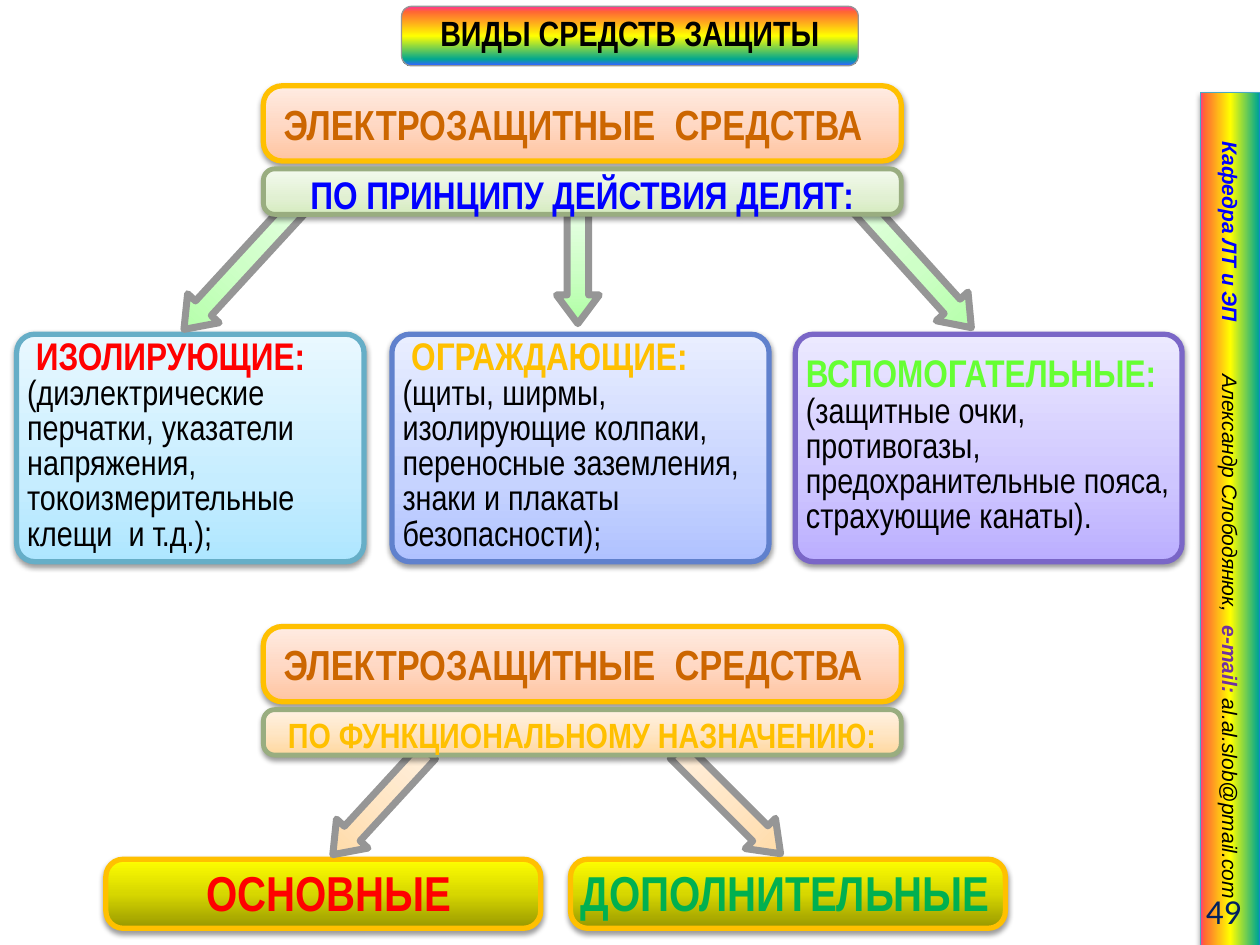
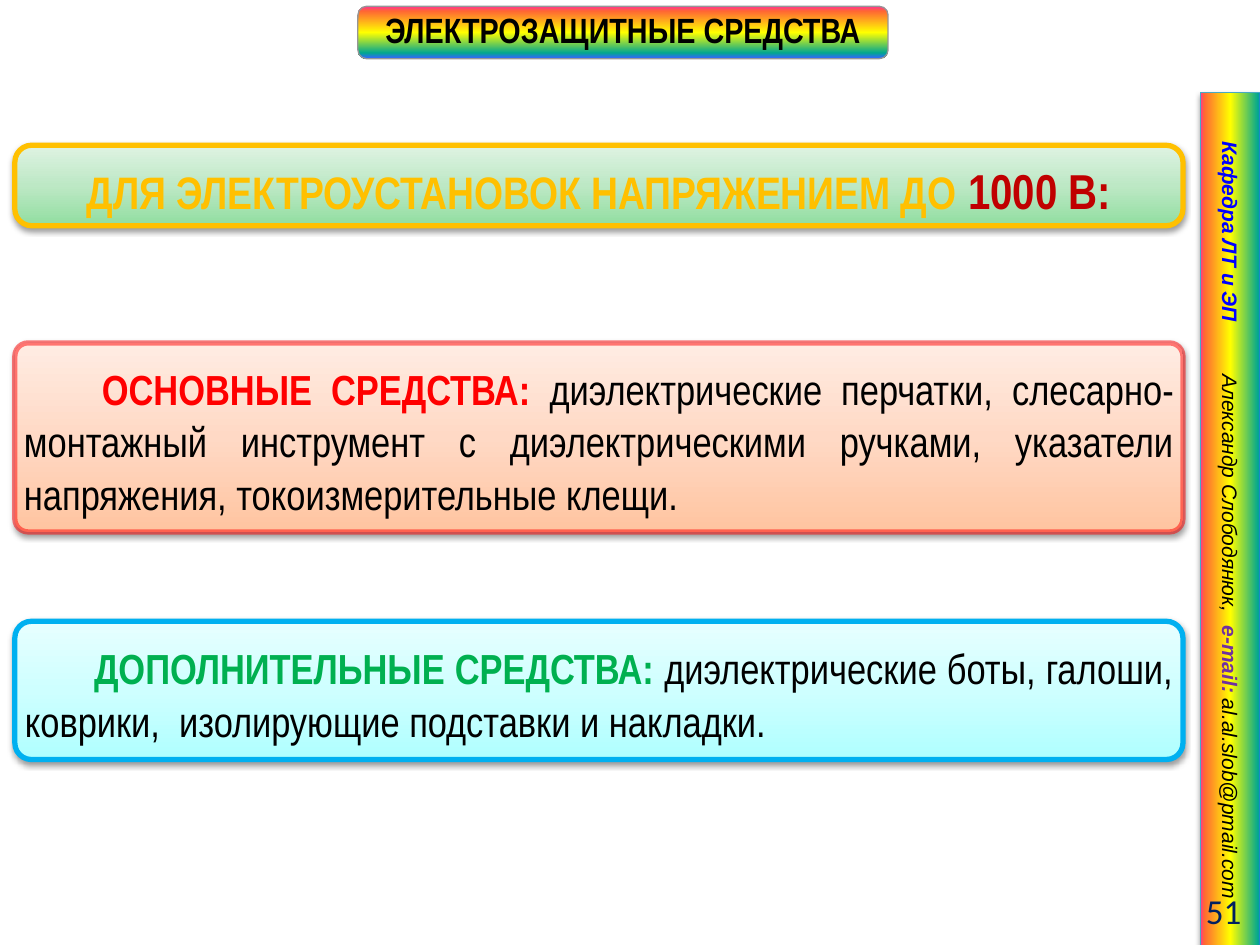
from dataclasses import dataclass

from pptx import Presentation
from pptx.dml.color import RGBColor
from pptx.enum.shapes import MSO_SHAPE
from pptx.enum.text import MSO_ANCHOR, PP_ALIGN
from pptx.oxml import parse_xml
from pptx.oxml.ns import nsdecls, qn
from pptx.shapes.autoshape import Shape
from pptx.slide import Slide
from pptx.text.text import _Paragraph
from pptx.util import Pt

BLACK = RGBColor(0x00, 0x00, 0x00)
BLUE = RGBColor(0x00, 0x00, 0xFF)
RED = RGBColor(0xFF, 0x00, 0x00)
DARK_RED = RGBColor(0xC0, 0x00, 0x00)
GREEN = RGBColor(0x00, 0xB0, 0x50)
LIME = RGBColor(0x66, 0xFF, 0x33)
AMBER = RGBColor(0xFF, 0xC0, 0x00)
BROWN = RGBColor(0xCC, 0x66, 0x00)
PURPLE = RGBColor(0x70, 0x30, 0xA0)
NAVY = RGBColor(0x00, 0x20, 0x60)
GRAY = RGBColor(0x96, 0x96, 0x96)
TEAL = RGBColor(0x46, 0xAA, 0xC5)
SAGE = RGBColor(0x99, 0xAD, 0x80)
SKY = RGBColor(0x00, 0xB0, 0xF0)
ICE_EDGE = RGBColor(0x66, 0xAE, 0xC7)
AZURE_EDGE = RGBColor(0x60, 0x81, 0xCD)
VIOLET_EDGE = RGBColor(0x7A, 0x66, 0xC7)

RAINBOW = [RGBColor(0xFF, 0x33, 0x99), RGBColor(0xFF, 0x66, 0x33), RGBColor(0xFF, 0xFF, 0x00),
           RGBColor(0x01, 0xA7, 0x8F), RGBColor(0x33, 0x66, 0xFF)]

NARROW = "Arial Narrow"


@dataclass(frozen=True)
class Gradient:
    colors: list[RGBColor]
    stops: tuple[int, ...] = (0, 50, 100)
    angle: int = 270


SIDEBAR_FILL = Gradient(RAINBOW, (0, 6, 50, 96, 100))
TITLE_FILL = Gradient(RAINBOW, (0, 9, 50, 89, 99), 90)
PEACH = Gradient([RGBColor(0xFF, 0xC4, 0xA0), RGBColor(0xFF, 0xD9, 0xC5), RGBColor(0xFF, 0xEC, 0xE3)])
APRICOT = Gradient([RGBColor(0xFF, 0xD8, 0xA0), RGBColor(0xFF, 0xE6, 0xC5), RGBColor(0xFF, 0xF2, 0xE3)])
MINT = Gradient([RGBColor(0xAF, 0xFF, 0xA3), RGBColor(0xCE, 0xFF, 0xC7), RGBColor(0xE7, 0xFF, 0xE4)])
LEAF = Gradient([RGBColor(0xD5, 0xEB, 0xBF), RGBColor(0xE1, 0xF0, 0xD2), RGBColor(0xF3, 0xFA, 0xED)],
                (0, 35, 100))
GOLD = Gradient([RGBColor(0x97, 0x97, 0x00), RGBColor(0xD7, 0xD7, 0x00), RGBColor(0xFF, 0xFF, 0x00)])
ICE = Gradient([RGBColor(0xAE, 0xE6, 0xFF), RGBColor(0xC6, 0xED, 0xFF), RGBColor(0xE9, 0xF8, 0xFF)],
               (0, 35, 100))
AZURE = Gradient([RGBColor(0xB0, 0xC2, 0xFF), RGBColor(0xC6, 0xD3, 0xFF), RGBColor(0xE9, 0xEE, 0xFF)],
                 (0, 35, 100))
VIOLET = Gradient([RGBColor(0xBB, 0xAE, 0xFF), RGBColor(0xCE, 0xC6, 0xFF), RGBColor(0xEC, 0xE9, 0xFF)],
                  (0, 35, 100))
MEADOW = Gradient([RGBColor(0x91, 0xDE, 0xA0), RGBColor(0xBD, 0xE8, 0xC5), RGBColor(0xDF, 0xF3, 0xE3)])
AQUA = Gradient([RGBColor(0xAF, 0xFF, 0xFF), RGBColor(0xCE, 0xFF, 0xFF), RGBColor(0xE7, 0xFF, 0xFF)])


@dataclass(frozen=True)
class Span:
    text: str
    size: float
    color: RGBColor = BLACK
    bold: bool = False
    italic: bool = False
    font: str = NARROW


@dataclass(frozen=True)
class Panel:
    left: float
    top: float
    width: float
    height: float
    fill: Gradient
    edge: RGBColor
    spans: list[Span]
    edge_width: float = 3
    corner: float = 0.25
    align: PP_ALIGN = PP_ALIGN.LEFT
    leading: float | None = None
    indent: float = 0
    insets: tuple[float, float, float, float] = (3, 3, 3, 3)
    edge_opacity: int = 100
    shadow: bool = True
    geometry: MSO_SHAPE = MSO_SHAPE.ROUNDED_RECTANGLE


@dataclass(frozen=True)
class Arrow:
    left: float
    top: float
    height: float
    rotation: float


def paint(shape: Shape, gradient: Gradient, edge: RGBColor, edge_width: float) -> None:
    stops = "".join(
        f'<a:gs pos="{position * 1000}"><a:srgbClr val="{color}"/></a:gs>'
        for position, color in zip(gradient.stops, gradient.colors)
    )
    shape.element.spPr.find(qn("a:prstGeom")).addnext(parse_xml(
        f'<a:gradFill {nsdecls("a")} rotWithShape="1"><a:gsLst>{stops}</a:gsLst>'
        f'<a:lin ang="{gradient.angle * 60000}" scaled="0"/></a:gradFill>'
    ))
    shape.line.color.rgb = edge
    shape.line.width = Pt(edge_width)
    shape.shadow.inherit = False


def cast_shadow(shape: Shape) -> None:
    shape.element.spPr.find(qn("a:effectLst")).append(parse_xml(
        f'<a:outerShdw {nsdecls("a")} blurRad="{Pt(3.1)}" dist="{Pt(1.6)}" dir="5400000" '
        'rotWithShape="0"><a:srgbClr val="000000"><a:alpha val="38000"/></a:srgbClr></a:outerShdw>'
    ))


def write(paragraph: _Paragraph, spans: list[Span]) -> None:
    for span in spans:
        run = paragraph.add_run()
        run.text = span.text
        run.font.name = span.font
        run.font.size = Pt(span.size)
        run.font.bold = span.bold
        run.font.italic = span.italic
        run.font.color.rgb = span.color


def add_panel(slide: Slide, panel: Panel) -> Shape:
    shape = slide.shapes.add_shape(
        panel.geometry, Pt(panel.left), Pt(panel.top), Pt(panel.width), Pt(panel.height))
    if panel.geometry == MSO_SHAPE.ROUNDED_RECTANGLE:
        shape.adjustments[0] = panel.corner
    paint(shape, panel.fill, panel.edge, panel.edge_width)
    if panel.edge_opacity < 100:
        shape.line._ln.find(f".//{qn('a:srgbClr')}").append(
            parse_xml(f'<a:alpha {nsdecls("a")} val="{panel.edge_opacity * 1000}"/>'))
    if panel.shadow:
        cast_shadow(shape)
    frame = shape.text_frame
    frame.word_wrap = True
    frame.vertical_anchor = MSO_ANCHOR.MIDDLE
    frame.margin_left, frame.margin_top, frame.margin_right, frame.margin_bottom = map(Pt, panel.insets)
    paragraph = frame.paragraphs[0]
    paragraph.alignment = panel.align
    if panel.leading:
        paragraph.line_spacing = Pt(panel.leading)
    if panel.indent:
        paragraph._p.get_or_add_pPr().set("indent", str(Pt(panel.indent)))
    write(paragraph, panel.spans)
    return shape


def add_arrow(slide: Slide, arrow: Arrow, fill: Gradient) -> None:
    shape = slide.shapes.add_shape(
        MSO_SHAPE.DOWN_ARROW, Pt(arrow.left), Pt(arrow.top), Pt(24.5), Pt(arrow.height))
    shape.adjustments[0] = 0.5
    shape.adjustments[1] = 0.67
    shape.rotation = arrow.rotation
    paint(shape, fill, GRAY, 4)


def add_sidebar(slide: Slide, number: int) -> None:
    sidebar = add_panel(slide, Panel(
        459.4, 279.4, 487.5, 34.5, SIDEBAR_FILL, TEAL,
        [Span("Кафедра ЛТ и ЭП\t", 12, BLUE, True, True, "Arial"),
         Span("Александр Слободянюк,\t", 12, BLACK, False, True, "Arial"),
         Span("e-mail: ", 12, PURPLE, True, True, "Arial"),
         Span("al.al.slob@pmail.com", 12, BLACK, False, True, "Arial")],
        edge_width=0.75, insets=(28, 3.6, 7.2, 3.6), geometry=MSO_SHAPE.RECTANGLE))
    sidebar.rotation = 90
    tabs = "".join(f'<a:tab pos="{Pt(stop)}" algn="l"/>' for stop in (133, 276.5))
    sidebar.text_frame.paragraphs[0]._p.get_or_add_pPr().append(
        parse_xml(f'<a:tabLst {nsdecls("a")}>{tabs}</a:tabLst>'))

    number_frame = slide.shapes.add_textbox(Pt(638), Pt(506), Pt(78.5), Pt(29)).text_frame
    number_frame.word_wrap = True
    number_frame.vertical_anchor = MSO_ANCHOR.MIDDLE
    number_frame.paragraphs[0].alignment = PP_ALIGN.RIGHT
    write(number_frame.paragraphs[0], [Span(str(number), 20, NAVY, font="Calibri")])


def start_slide(deck: Presentation, number: int, title: str,
                left: float, width: float, height: float) -> Slide:
    slide = deck.slides.add_slide(deck.slide_layouts[6])
    add_sidebar(slide, number)
    add_panel(slide, Panel(
        left, 3.6, width, height, TITLE_FILL, GRAY, [Span(title, 20, BLACK, True)],
        edge_width=0.75, corner=0.17, align=PP_ALIGN.CENTER, leading=20, shadow=False))
    return slide


def add_classification(slide: Slide, top: float, criterion: Span, band_fill: Gradient,
                       classes: list[Panel], arrows: list[Arrow], arrow_fill: Gradient) -> None:
    add_panel(slide, Panel(
        150.5, top, 364.5, 43, PEACH, AMBER,
        [Span("ЭЛЕКТРОЗАЩИТНЫЕ  СРЕДСТВА", 24, BROWN, True)],
        align=PP_ALIGN.JUSTIFY, insets=(8.5, 3, 3, 3)))
    for class_panel in classes:
        add_panel(slide, class_panel)
    for arrow in arrows:
        add_arrow(slide, arrow, arrow_fill)
    add_panel(slide, Panel(
        150.5, top + 47.5, 364.5, 26, band_fill, SAGE, [criterion],
        edge_width=2.75, align=PP_ALIGN.CENTER, insets=(3, 5.5, 3, 3)))


def class_box(left: float, width: float, fill: Gradient, edge: RGBColor, heading: str,
              color: RGBColor, examples: str, indent: float) -> Panel:
    return Panel(left, 191, width, 130, fill, edge,
                 [Span(heading + " ", 22, color, True), Span(examples, 20)],
                 corner=0.08, leading=20, indent=indent)


def role_box(left: float, name: str, color: RGBColor, align: PP_ALIGN, inset: float) -> Panel:
    return Panel(left, 491, 248.5, 39.5, GOLD, AMBER, [Span(name, 28, color, True)],
                 align=align, leading=28, insets=(inset, 3, 3, 0))


def equipment_box(top: float, height: float, fill: Gradient, edge: RGBColor, spans: list[Span],
                  corner: float, indent: float = 0, align: PP_ALIGN = PP_ALIGN.JUSTIFY,
                  leading: float | None = 30, inset_top: float = 3, edge_opacity: int = 100) -> Panel:
    return Panel(8.5, top, 667.5, height, fill, edge, spans, corner=corner, align=align,
                 leading=leading, indent=indent, insets=(3, inset_top, 3, 0),
                 edge_opacity=edge_opacity)


def build_kinds(deck: Presentation) -> None:
    slide = start_slide(deck, 49, "ВИДЫ СРЕДСТВ ЗАЩИТЫ", 229.5, 261, 34)
    add_classification(
        slide, 358, Span("ПО ФУНКЦИОНАЛЬНОМУ НАЗНАЧЕНИЮ:", 20, AMBER, True), APRICOT,
        [role_box(60.5, "ОСНОВНЫЕ", RED, PP_ALIGN.CENTER, 9),
         role_box(326, "ДОПОЛНИТЕЛЬНЫЕ", GREEN, PP_ALIGN.LEFT, 3)],
        [Arrow(205, 419, 80, 42.6), Arrow(404.5, 417, 83, 315)], APRICOT)
    add_classification(
        slide, 49, Span("ПО ПРИНЦИПУ ДЕЙСТВИЯ ДЕЛЯТ:", 22, BLUE, True), LEAF,
        [class_box(9.5, 198.5, ICE, ICE_EDGE, "ИЗОЛИРУЮЩИЕ:", RED,
                   "(диэлектрические перчатки, указатели напряжения, "
                   "токоизмерительные клещи  и т.д.);", 5),
         class_box(224, 215.5, AZURE, AZURE_EDGE, "ОГРАЖДАЮЩИЕ:", AMBER,
                   "(щиты, ширмы, изолирующие колпаки, переносные заземления, "
                   "знаки и плакаты безопасности);", 5),
         class_box(454.5, 221, VIOLET, VIOLET_EDGE, "ВСПОМОГАТЕЛЬНЫЕ:", LIME,
                   "(защитные очки, противогазы, предохранительные пояса, "
                   "страхующие канаты).", 0)],
        [Arrow(318, 121.5, 63.5, 0), Arrow(511, 104.5, 95, 317.9), Arrow(125.5, 104.5, 96.5, 42.6)],
        MINT)


def build_low_voltage(deck: Presentation) -> None:
    slide = start_slide(deck, 51, "ЭЛЕКТРОЗАЩИТНЫЕ СРЕДСТВА", 204.5, 303, 30)
    for panel in (
        equipment_box(83, 46, MEADOW, AMBER,
                      [Span("ДЛЯ ЭЛЕКТРОУСТАНОВОК НАПРЯЖЕНИЕМ ДО ", 26, AMBER, True),
                       Span("1000 В:", 28, DARK_RED, True)],
                      0.21, align=PP_ALIGN.CENTER, leading=None, inset_top=5),
        equipment_box(196, 108, PEACH, RED,
                      [Span("ОСНОВНЫЕ СРЕДСТВА: ", 24, RED, True),
                       Span("диэлектрические перчатки, слесарно-монтажный инструмент с "
                            "диэлектрическими ручками, указатели напряжения, "
                            "токоизмерительные клещи.", 24)],
                      0.07, 44.5, edge_opacity=50),
        equipment_box(355, 79, AQUA, SKY,
                      [Span("ДОПОЛНИТЕЛЬНЫЕ СРЕДСТВА: ", 24, GREEN, True),
                       Span("диэлектрические боты, галоши, коврики,  изолирующие "
                            "подставки и накладки.", 24)],
                      0.12, 39.5),
    ):
        add_panel(slide, panel)


def main() -> None:
    deck = Presentation()
    deck.slide_width = Pt(720)
    deck.slide_height = Pt(540)
    build_kinds(deck)
    build_low_voltage(deck)
    deck.save("out.pptx")


if __name__ == "__main__":
    main()
